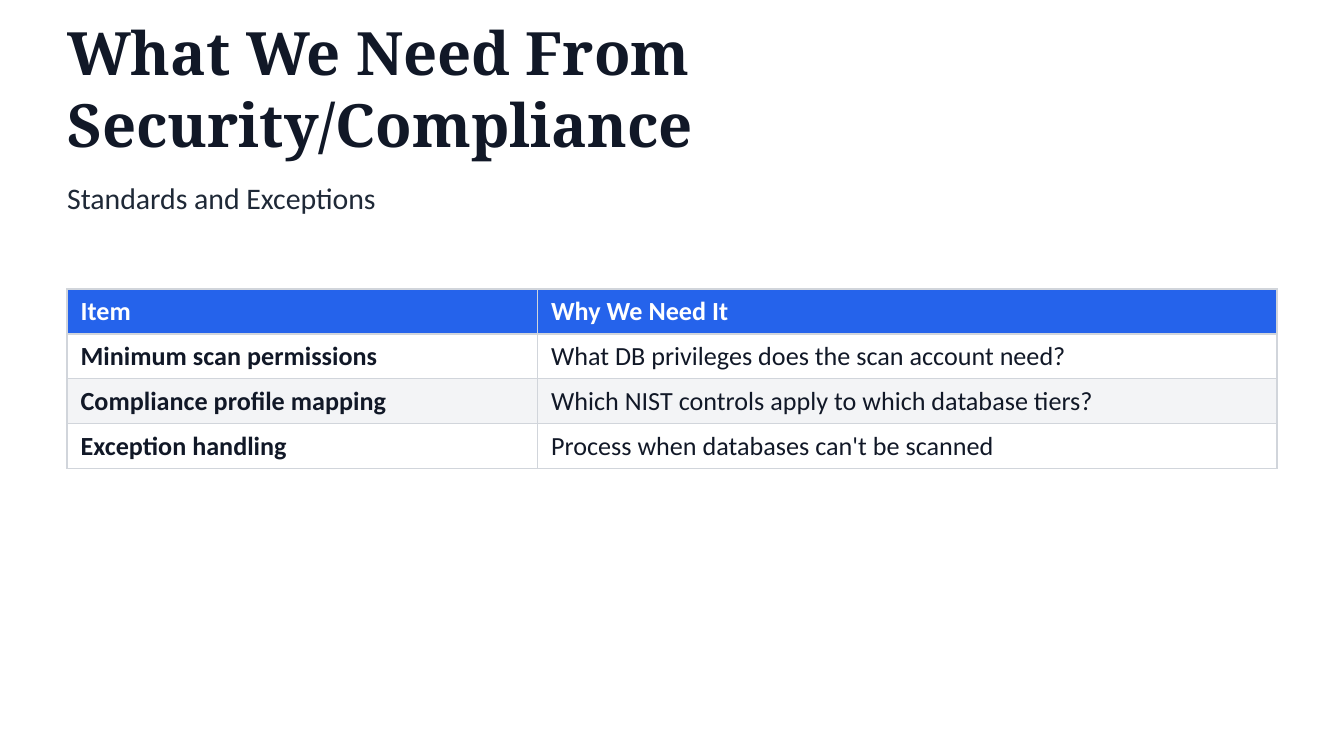
"""Build the slide listing what is needed from security and compliance."""
from dataclasses import dataclass

from pptx import Presentation
from pptx.dml.color import RGBColor
from pptx.enum.text import MSO_ANCHOR
from pptx.oxml.ns import qn
from pptx.slide import Slide
from pptx.table import _Cell
from pptx.text.text import Font
from lxml.etree import SubElement
from pptx.util import Pt

INK = "111827"
WHITE = "FFFFFF"
BORDER = "D1D5DB"
LEFT = 36
WIDTH = 648
TABLE_TOP = 154.8
ROW_HEIGHT = 24
COLUMN_WIDTHS = (252, 396)


@dataclass(frozen=True)
class TextStyle:
    """Font settings of one kind of text."""

    size: float
    color: str
    bold: bool = False
    name: str = "Calibri"


@dataclass(frozen=True)
class Heading:
    """One line of heading text and its vertical place."""

    text: str
    top: float
    height: float
    style: TextStyle


@dataclass(frozen=True)
class Request:
    """One table row: an item and the reason for it."""

    item: str
    reason: str


HEADINGS = (
    Heading("What We Need From Security/Compliance", 21.6, 50.4,
            TextStyle(32, INK, True, "Noto Serif")),
    Heading("Standards and Exceptions", 91.44, 28.8, TextStyle(16, "1F2937")),
)
HEADER = Request("Item", "Why We Need It")
REQUESTS = (
    Request("Minimum scan permissions", "What DB privileges does the scan account need?"),
    Request("Compliance profile mapping", "Which NIST controls apply to which database tiers?"),
    Request("Exception handling", "Process when databases can't be scanned"),
)


def color(value: str) -> RGBColor:
    """Turn a hex string into a colour."""
    return RGBColor.from_string(value)


def style_font(font: Font, style: TextStyle) -> None:
    """Apply a text style to a font."""
    font.name = style.name
    font.size = Pt(style.size)
    font.bold = style.bold
    font.color.rgb = color(style.color)


def add_heading(slide: Slide, heading: Heading) -> None:
    """Add a heading as a text box without margins."""
    shape = slide.shapes.add_textbox(Pt(LEFT), Pt(heading.top), Pt(WIDTH), Pt(heading.height))
    frame = shape.text_frame
    frame.word_wrap = True
    frame.vertical_anchor = MSO_ANCHOR.MIDDLE
    frame.margin_left = frame.margin_right = frame.margin_top = frame.margin_bottom = 0
    paragraph = frame.paragraphs[0]
    paragraph.text = heading.text
    style_font(paragraph.font, heading.style)


def add_borders(cell: _Cell) -> None:
    """Draw a thin line on each side of a cell."""
    properties = cell._tc.get_or_add_tcPr()
    for position, side in enumerate(("a:lnL", "a:lnR", "a:lnT", "a:lnB")):
        line = SubElement(properties, qn(side), w=str(Pt(1)))
        fill = SubElement(line, qn("a:solidFill"))
        SubElement(fill, qn("a:srgbClr"), val=BORDER)
        properties.insert(position, line)


def fill_cell(cell: _Cell, text: str, fill: str, style: TextStyle) -> None:
    """Write one table cell with its background and borders."""
    cell.fill.solid()
    cell.fill.fore_color.rgb = color(fill)
    paragraph = cell.text_frame.paragraphs[0]
    paragraph.text = text
    style_font(paragraph.font, style)
    add_borders(cell)


def add_request_table(slide: Slide) -> None:
    """Add the table of requests under its header row."""
    row_count = len(REQUESTS) + 1
    table = slide.shapes.add_table(
        row_count, len(COLUMN_WIDTHS), Pt(LEFT), Pt(TABLE_TOP), Pt(WIDTH), Pt(row_count * ROW_HEIGHT)
    ).table
    for column, width in zip(table.columns, COLUMN_WIDTHS):
        column.width = Pt(width)
    for index, request in enumerate((HEADER, *REQUESTS)):
        is_header = index == 0
        fill = "2563EB" if is_header else (WHITE if index % 2 else "F3F4F6")
        ink = WHITE if is_header else INK
        fill_cell(table.cell(index, 0), request.item, fill, TextStyle(14, ink, True))
        fill_cell(table.cell(index, 1), request.reason, fill, TextStyle(14, ink, is_header))


def main() -> None:
    """Build and save the presentation."""
    presentation = Presentation()
    presentation.slide_width = Pt(720)
    presentation.slide_height = Pt(405)
    slide = presentation.slides.add_slide(presentation.slide_layouts[6])
    slide.background.fill.solid()
    slide.background.fill.fore_color.rgb = color(WHITE)
    for heading in HEADINGS:
        add_heading(slide, heading)
    add_request_table(slide)
    presentation.save("out.pptx")


if __name__ == "__main__":
    main()
